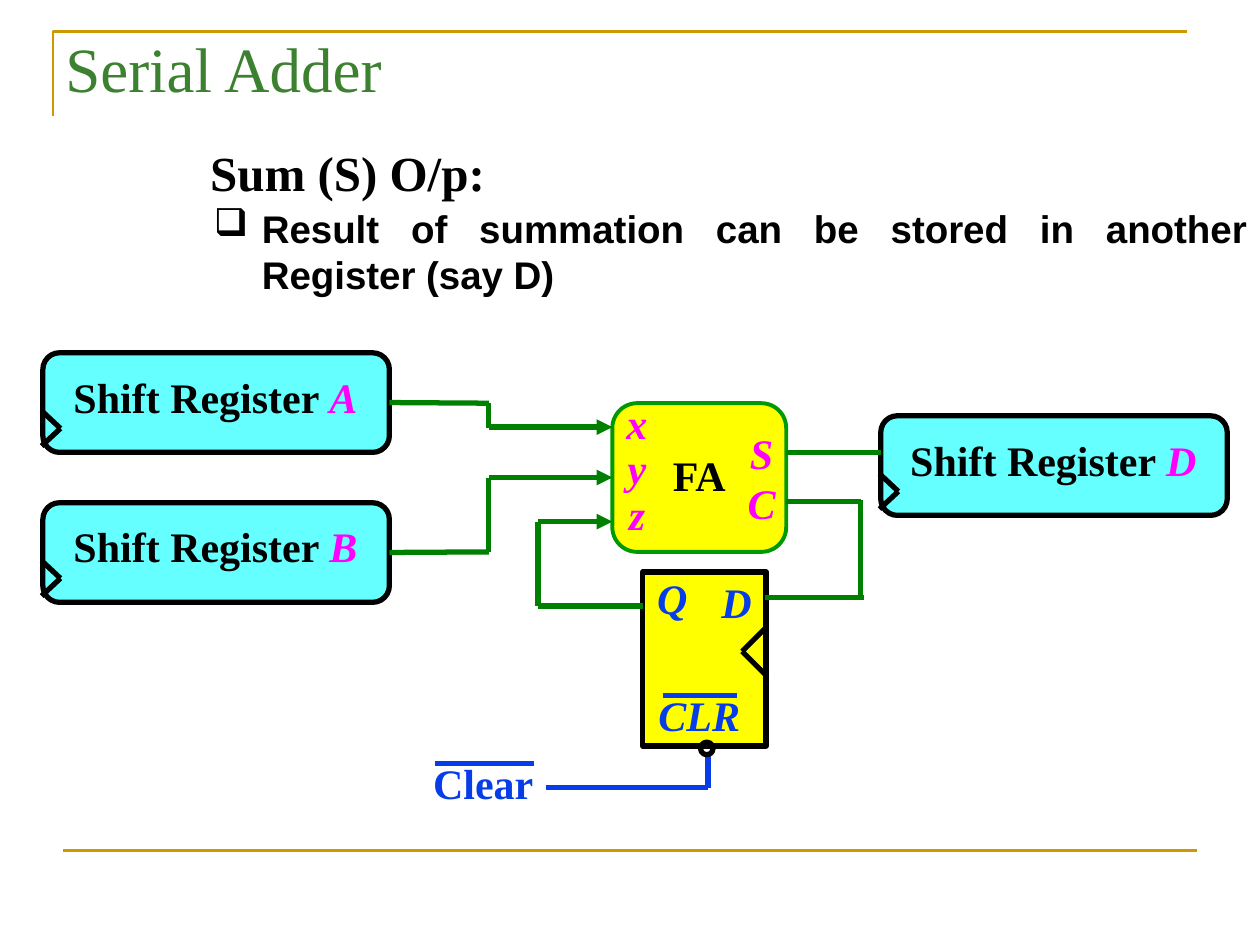
from dataclasses import dataclass

from lxml.etree import SubElement
from pptx import Presentation
from pptx.dml.color import RGBColor
from pptx.enum.shapes import MSO_CONNECTOR, MSO_SHAPE
from pptx.enum.text import MSO_ANCHOR, PP_ALIGN
from pptx.oxml.ns import qn
from pptx.util import Inches, Pt

BLACK = RGBColor(0, 0, 0)
GOLD = RGBColor(0xCC, 0x99, 0x00)
TITLE_GREEN = RGBColor(0x3B, 0x81, 0x2F)
EDGE_GREEN = RGBColor(0x00, 0x99, 0x00)
WIRE_GREEN = RGBColor(0x00, 0x80, 0x00)
YELLOW = RGBColor(0xFF, 0xFF, 0x00)
CYAN = RGBColor(0x66, 0xFF, 0xFF)
MAGENTA = RGBColor(0xFF, 0x00, 0xFF)
BLUE = RGBColor(0x06, 0x3D, 0xE8)
SERIF = "Times New Roman"
LEFT, RIGHT = 1, 3


@dataclass(frozen=True)
class Register:
    name: str
    left: float
    top: float


@dataclass(frozen=True)
class Wire:
    start: tuple[float, float]
    end: tuple[float, float]
    color: RGBColor = WIRE_GREEN
    arrow: bool = False


def add_span(para, text: str, *, size=24, font=SERIF, color=BLACK, bold=True, italic=False):
    span = para.add_run()
    span.text = text
    span.font.size, span.font.name = Pt(size), font
    span.font.bold, span.font.italic = bold, italic
    span.font.color.rgb = color


def add_box(shapes, left, top, width, height, *, margin=0.0, anchor=MSO_ANCHOR.TOP):
    box = shapes.add_textbox(Inches(left), Inches(top), Inches(width), Inches(height))
    set_frame(box.text_frame, margin, anchor)
    return box.text_frame


def set_frame(frame, margin: float, anchor):
    frame.word_wrap = True
    frame.vertical_anchor = anchor
    frame.margin_left = frame.margin_right = Inches(margin)
    frame.margin_top = frame.margin_bottom = Inches(margin / 2)


def add_label(shapes, left, top, width, height, lines, *, spacing=0.9, **style):
    """Add a centred label, one paragraph for each line."""
    frame = add_box(shapes, left, top, width, height)
    for index, line in enumerate(lines):
        para = frame.add_paragraph() if index else frame.paragraphs[0]
        para.alignment, para.line_spacing = PP_ALIGN.CENTER, spacing
        add_span(para, line, **style)
    return frame


def add_block(shapes, kind, left, top, width, height, *, fill=None, edge=BLACK, weight=3.0):
    block = shapes.add_shape(kind, Inches(left), Inches(top), Inches(width), Inches(height))
    block.shadow.inherit = False
    if fill is None:
        block.fill.background()
    else:
        block.fill.solid()
        block.fill.fore_color.rgb = fill
    block.line.color.rgb, block.line.width = edge, Pt(weight)
    return block


def add_wire(shapes, wire: Wire, weight=3.0):
    points = [Inches(value) for value in (*wire.start, *wire.end)]
    line = shapes.add_connector(MSO_CONNECTOR.STRAIGHT, *points)
    line.line.color.rgb, line.line.width = wire.color, Pt(weight)
    if wire.arrow:
        SubElement(line.line._get_or_add_ln(), qn("a:tailEnd"), type="triangle")
    SubElement(line._element.spPr, qn("a:effectLst"))
    return line


def add_clock_mark(shapes, tip_x, tip_y, depth, rise):
    """Draw the two strokes of a clock input, from its tip to the block edge."""
    for side in (-rise, rise):
        add_wire(shapes, Wire((tip_x, tip_y), (tip_x + depth, tip_y + side), BLACK))


def add_register(slide, register: Register):
    group = slide.shapes.add_group_shape().shapes
    left, top = register.left, register.top
    block = add_block(group, MSO_SHAPE.ROUNDED_RECTANGLE, left, top, 2.75, 0.79, fill=CYAN)
    frame = add_label(group, left + 0.19, top + 0.19, 2.36, 0.36, ["Shift Register "])
    add_span(frame.paragraphs[0], register.name, color=MAGENTA, italic=True)
    add_clock_mark(group, left + 0.14, top + 0.6, -0.15, 0.14)
    return block


def add_adder(slide):
    shapes = slide.shapes
    block = add_block(shapes, MSO_SHAPE.ROUNDED_RECTANGLE, 4.86, 3.2, 1.38, 1.18,
                      fill=YELLOW, edge=EDGE_GREEN, weight=2.25)
    set_frame(block.text_frame, 0, MSO_ANCHOR.MIDDLE)
    para = block.text_frame.paragraphs[0]
    para.alignment, para.line_spacing = PP_ALIGN.CENTER, 0.9
    add_span(para, "FA")
    add_label(shapes, 4.86, 3.2, 0.39, 1.08, "xyz", color=MAGENTA, italic=True)
    add_label(shapes, 5.85, 3.39, 0.39, 0.8, "SC", spacing=1.0, color=MAGENTA, italic=True)
    return block


def add_flip_flop(slide):
    group = slide.shapes.add_group_shape().shapes
    add_block(group, MSO_SHAPE.RECTANGLE, 5.1, 4.54, 0.98, 1.38, fill=YELLOW)
    for text, left, top, width in (("Q", 5.14, 4.59, 0.39), ("D", 5.65, 4.62, 0.39),
                                   ("CLR", 5.06, 5.52, 0.98)):
        add_label(group, left, top, width, 0.36, [text], color=BLUE, italic=True)
    add_clock_mark(group, 5.89, 5.17, 0.2, 0.2)
    add_wire(group, Wire((5.26, 5.52), (5.85, 5.52), BLUE))


def add_frame_lines(slide):
    path = slide.shapes.build_freeform(Inches(0.42), Inches(0.92))
    path.add_line_segments([(Inches(0.42), Inches(0.25)), (Inches(9.42), Inches(0.25))], close=False)
    corner = path.convert_to_shape()
    corner.shadow.inherit = False
    corner.fill.background()
    corner.line.color.rgb, corner.line.width = GOLD, Pt(1.5)
    add_wire(slide.shapes, Wire((0.5, 6.75), (9.5, 6.75), GOLD), weight=1.5)


def add_text(slide):
    title = add_box(slide.shapes, 0.42, 0.14, 6.58, 0.78, margin=0.1, anchor=MSO_ANCHOR.MIDDLE)
    add_span(title.paragraphs[0], "Serial Adder", size=36, color=TITLE_GREEN, bold=False)

    body = add_box(slide.shapes, 1.1, 1.08, 8.9, 1.4, margin=0.1)
    heading, item = body.paragraphs[0], body.add_paragraph()
    heading._p.get_or_add_pPr().set("marL", str(Inches(0.47)))
    add_span(heading, "Sum (S) O/p:", size=28)

    item.alignment, item.space_before = PP_ALIGN.JUSTIFY, Pt(2)
    props = item._p.get_or_add_pPr()
    props.set("marL", str(Inches(0.88)))
    props.set("indent", str(Inches(-0.38)))
    SubElement(props, qn("a:buChar"), char="❑")
    add_span(item, "Result of summation can be stored in another Register (say D)",
             size=22, font="Arial")


def add_circuit(slide):
    shapes = slide.shapes
    adder = add_adder(slide)
    source_a, source_b, _ = [add_register(slide, register) for register in (
        Register("A", 0.34, 2.8), Register("B", 0.34, 3.99), Register("D", 6.99, 3.3))]
    add_flip_flop(slide)

    add_wire(shapes, Wire((3.09, 3.2), (3.88, 3.2))).begin_connect(source_a, RIGHT)
    add_wire(shapes, Wire((3.09, 4.38), (3.88, 4.38))).begin_connect(source_b, RIGHT)
    add_wire(shapes, Wire((3.88, 3.79), (4.86, 3.79), arrow=True)).end_connect(adder, LEFT)
    for wire in (
        Wire((3.88, 3.2), (3.88, 3.4)),
        Wire((3.88, 3.39), (4.86, 3.39), arrow=True),
        Wire((3.88, 3.79), (3.88, 4.38)),
        Wire((6.24, 3.59), (6.99, 3.59)),
        Wire((6.24, 3.98), (6.83, 3.98)),
        Wire((6.83, 3.97), (6.83, 4.74)),
        Wire((6.07, 4.74), (6.86, 4.74)),
        Wire((4.27, 4.81), (5.1, 4.81)),
        Wire((4.27, 4.14), (4.27, 4.81)),
        Wire((4.27, 4.14), (4.86, 4.14), arrow=True),
        Wire((5.62, 5.97), (5.62, 6.25), BLUE),
        Wire((4.33, 6.25), (5.62, 6.25), BLUE),
        Wire((3.45, 6.06), (4.24, 6.06), BLUE),
    ):
        add_wire(shapes, wire)
    add_block(shapes, MSO_SHAPE.OVAL, 5.56, 5.89, 0.1, 0.1)
    add_label(shapes, 3.34, 6.06, 0.99, 0.36, ["Clear"], color=BLUE)


def main():
    deck = Presentation()
    deck.slide_width, deck.slide_height = Inches(10), Inches(7.5)
    slide = deck.slides.add_slide(deck.slide_layouts[6])
    add_frame_lines(slide)
    add_text(slide)
    add_circuit(slide)
    deck.save("out.pptx")


if __name__ == "__main__":
    main()
